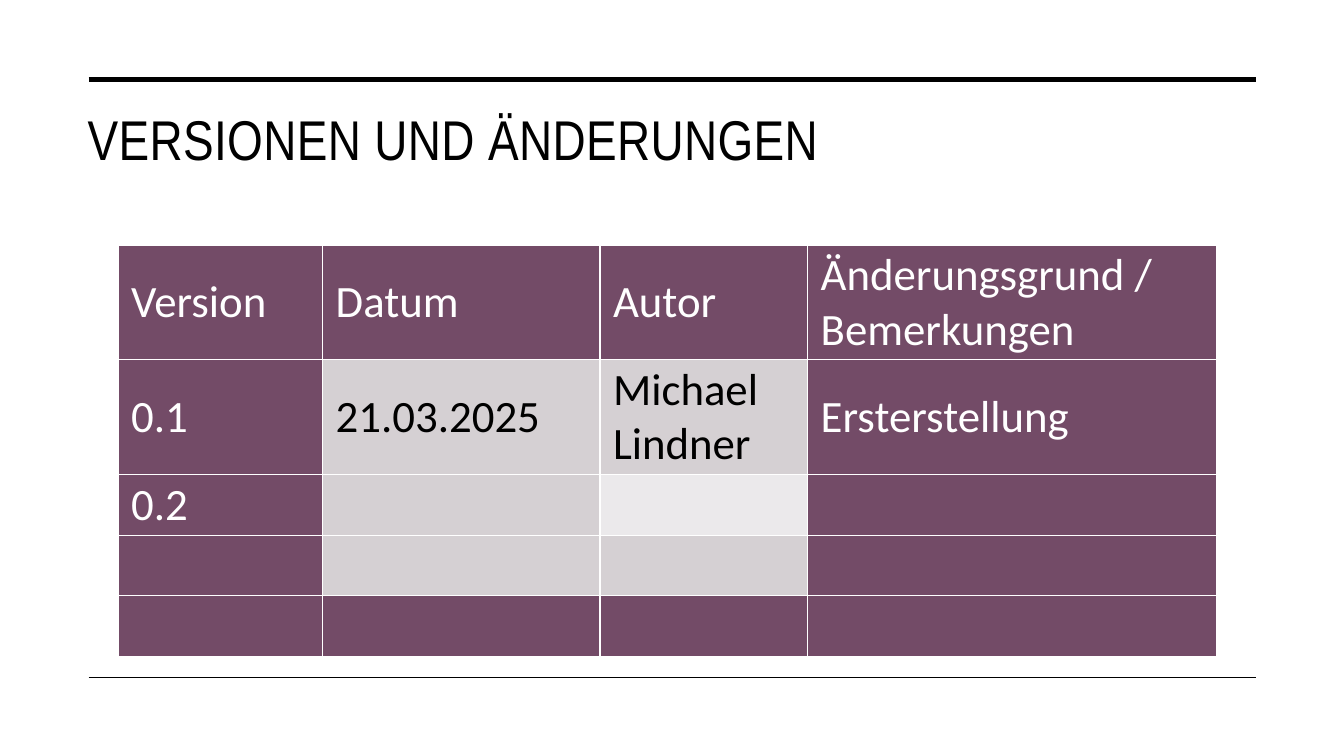
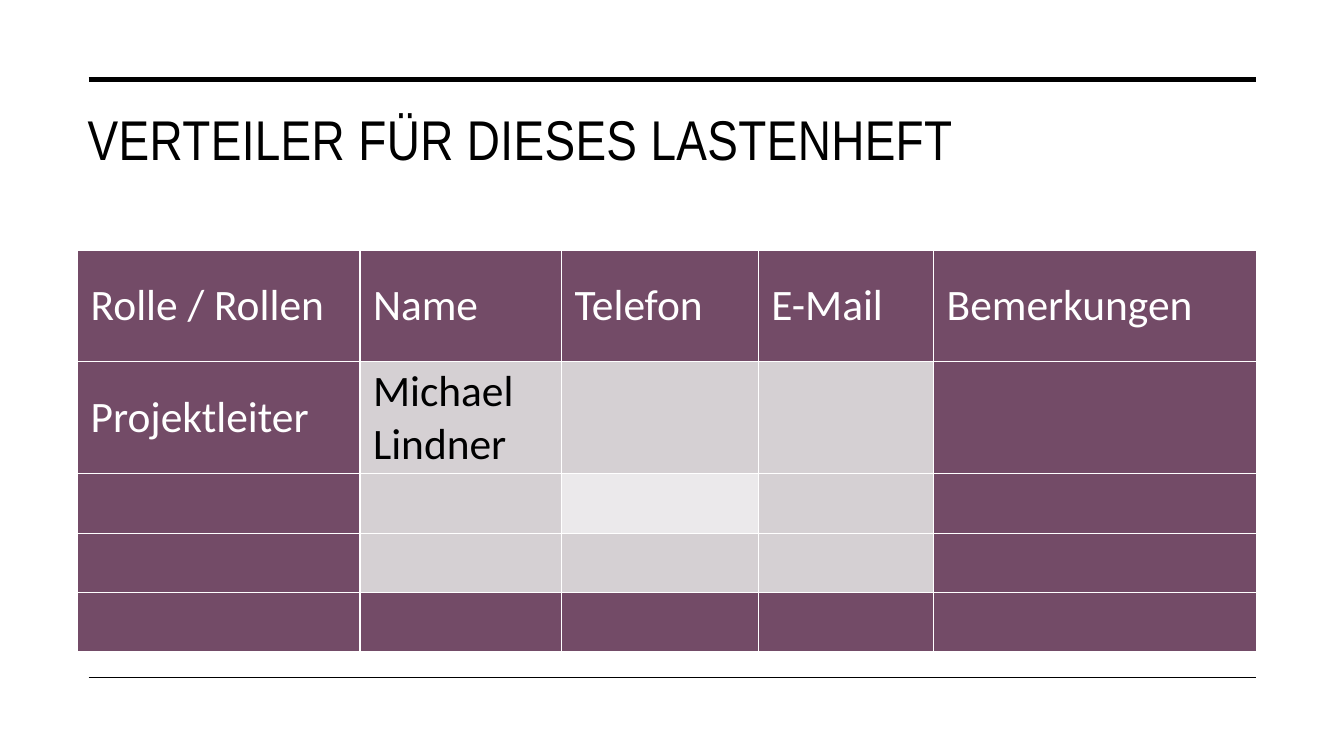
from dataclasses import dataclass

from lxml.etree import SubElement
from pptx import Presentation
from pptx.dml.color import RGBColor
from pptx.enum.shapes import MSO_CONNECTOR
from pptx.enum.text import MSO_ANCHOR, MSO_AUTO_SIZE, PP_ALIGN
from pptx.oxml.ns import qn
from pptx.presentation import Presentation as Deck
from pptx.slide import Slide
from pptx.table import _Cell as Cell
from pptx.util import Inches, Pt

COLORS = {
    "text": "000000",
    "white": "FFFFFF",
    "plum": "734B67",
    "light": "D5D0D3",
    "pale": "EBE9EB",
}
TITLE_FONT = "Arial Narrow"
TABLE_FONT = "Calibri"
PALE_CELL = (2, 2)


@dataclass(frozen=True)
class Rule:
    top: float
    weight: float


@dataclass(frozen=True)
class TableSlide:
    title: str
    left: float
    top: float
    columns: tuple[float, ...]
    rows: tuple[float, ...]
    font_size: int
    texts: tuple[tuple[str, ...], ...]


RULES = (Rule(0.79, 3.5), Rule(6.72, 1))

TABLE_SLIDES = (
    TableSlide(
        title="VERSIONEN UND ÄNDERUNGEN",
        left=1.17,
        top=2.43,
        columns=(2.03, 2.75, 2.06, 4.06),
        rows=(1.14, 1.14, 0.6, 0.6, 0.6),
        font_size=32,
        texts=(
            ("Version", "Datum", "Autor", "Änderungsgrund / Bemerkungen"),
            ("0.1", "21.03.2025", "Michael Lindner", "Ersterstellung"),
            ("0.2",),
        ),
    ),
    TableSlide(
        title="VERTEILER FÜR DIESES LASTENHEFT",
        left=0.77,
        top=2.48,
        columns=(2.8, 2, 1.95, 1.74, 3.2),
        rows=(1.11, 1.11, 0.59, 0.59, 0.59),
        font_size=31,
        texts=(
            ("Rolle / Rollen", "Name", "Telefon", "E-Mail", "Bemerkungen"),
            ("Projektleiter", "Michael Lindner"),
        ),
    ),
)


def rgb(name: str) -> RGBColor:
    return RGBColor.from_string(COLORS[name])


def set_title(slide: Slide, text: str) -> None:
    title = slide.shapes.title
    title.left, title.top = Inches(0.77), Inches(0.99)
    title.width, title.height = Inches(11.69), Inches(1.26)
    frame = title.text_frame
    frame.text = text
    frame.word_wrap = True
    frame.auto_size = MSO_AUTO_SIZE.NONE
    frame.vertical_anchor = MSO_ANCHOR.TOP
    paragraph = frame.paragraphs[0]
    paragraph.alignment = PP_ALIGN.LEFT
    paragraph.font.name = TITLE_FONT
    paragraph.font.size = Pt(40)
    paragraph.font.color.rgb = rgb("text")
    paragraph.runs[0]._r.get_or_add_rPr().set("spc", "30")


def add_rule(slide: Slide, rule: Rule) -> None:
    top = Inches(rule.top)
    line = slide.shapes.add_connector(
        MSO_CONNECTOR.STRAIGHT, Inches(0.88), top, Inches(12.46), top
    )
    line.line.color.rgb = rgb("text")
    line.line.width = Pt(rule.weight)
    SubElement(line._element.spPr, qn("a:effectLst"))


def set_borders(cell: Cell) -> None:
    properties = cell._tc.get_or_add_tcPr()
    for position, side in enumerate(("lnL", "lnR", "lnT", "lnB")):
        border = SubElement(properties, qn(f"a:{side}"), w=str(Pt(1)))
        fill = SubElement(border, qn("a:solidFill"))
        SubElement(fill, qn("a:srgbClr"), val=COLORS["white"])
        properties.insert(position, border)


def format_cell(cell: Cell, text: str, fill: str, font_size: int) -> None:
    cell.fill.solid()
    cell.fill.fore_color.rgb = rgb(fill)
    set_borders(cell)
    cell.vertical_anchor = MSO_ANCHOR.MIDDLE
    cell.margin_left = cell.margin_right = Inches(0.13)
    cell.margin_top = cell.margin_bottom = 0
    cell.text = text
    paragraph = cell.text_frame.paragraphs[0]
    paragraph.font.name = TABLE_FONT
    paragraph.font.size = Pt(font_size)
    paragraph.font.color.rgb = rgb("white" if fill == "plum" else "text")


def cell_fill(row: int, column: int, last_row: int, last_column: int) -> str:
    if row in (0, last_row) or column in (0, last_column):
        return "plum"
    return "pale" if (row, column) == PALE_CELL else "light"


def add_table(slide: Slide, content: TableSlide) -> None:
    table = slide.shapes.add_table(
        len(content.rows),
        len(content.columns),
        Inches(content.left),
        Inches(content.top),
        Inches(sum(content.columns)),
        Inches(sum(content.rows)),
    ).table
    table.first_row = table.horz_banding = False
    for column, width in zip(table.columns, content.columns):
        column.width = Inches(width)
    for row, height in zip(table.rows, content.rows):
        row.height = Inches(height)
    texts = {
        (row, column): text
        for row, line in enumerate(content.texts)
        for column, text in enumerate(line)
    }
    last_row, last_column = len(content.rows) - 1, len(content.columns) - 1
    for row in range(last_row + 1):
        for column in range(last_column + 1):
            fill = cell_fill(row, column, last_row, last_column)
            text = texts.get((row, column), "")
            format_cell(table.cell(row, column), text, fill, content.font_size)


def add_table_slide(presentation: Deck, content: TableSlide) -> None:
    slide = presentation.slides.add_slide(presentation.slide_layouts[5])
    set_title(slide, content.title)
    for rule in RULES:
        add_rule(slide, rule)
    add_table(slide, content)


def main() -> None:
    presentation = Presentation()
    presentation.slide_width = Inches(13.33)
    presentation.slide_height = Inches(7.5)
    for content in TABLE_SLIDES:
        add_table_slide(presentation, content)
    presentation.save("out.pptx")


if __name__ == "__main__":
    main()
